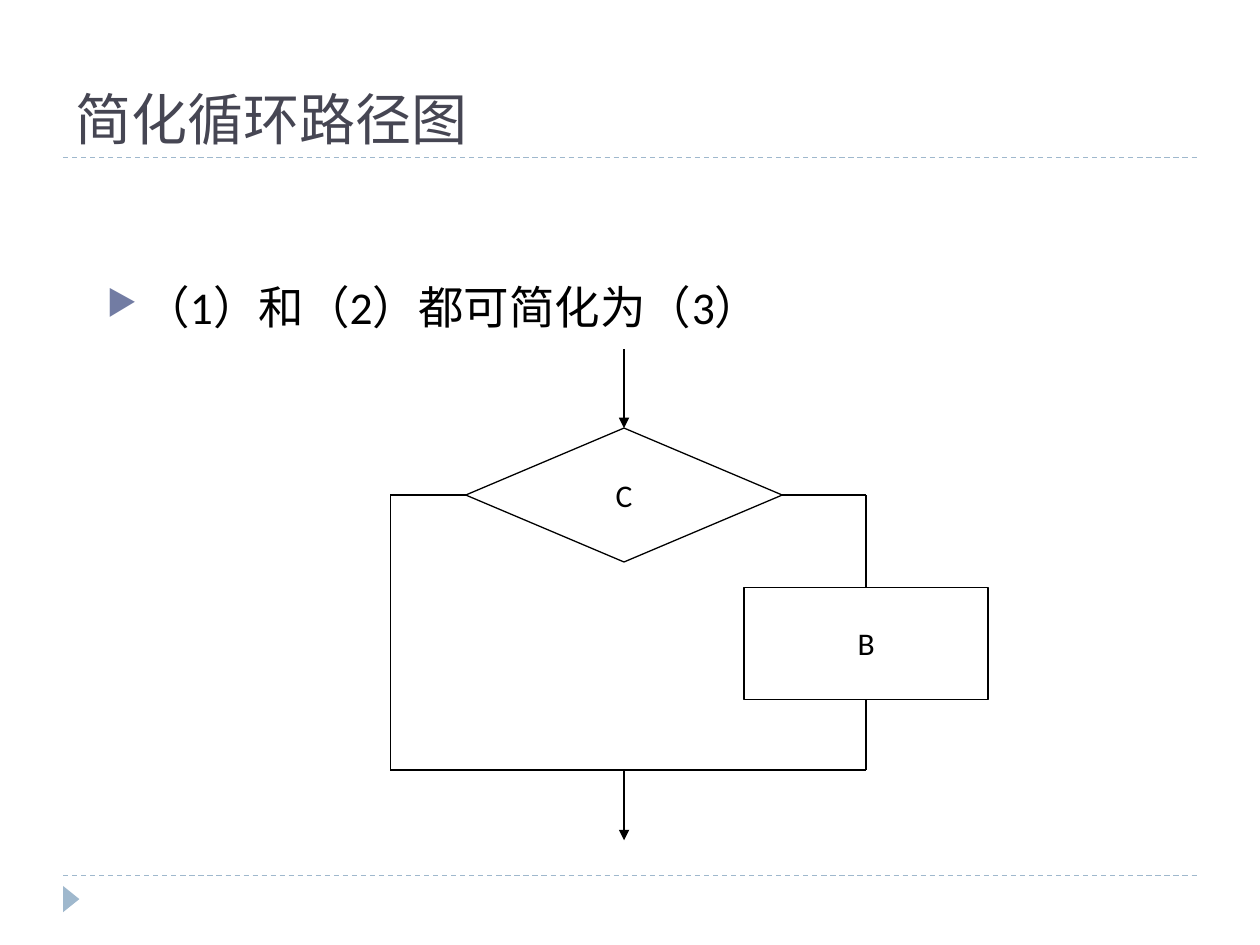
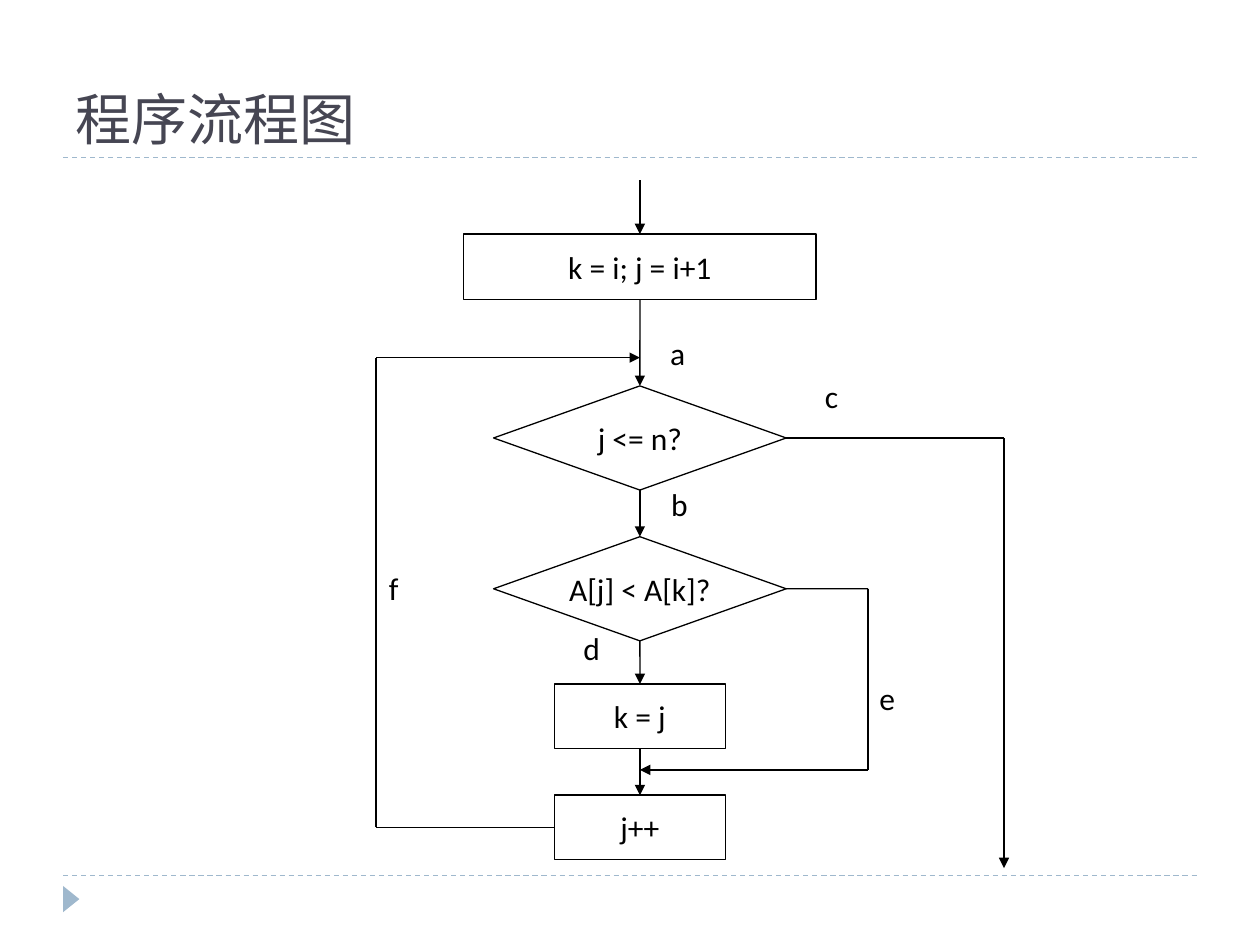
from collections import namedtuple
from itertools import pairwise

from lxml.etree import SubElement
from pptx import Presentation
from pptx.dml.color import RGBColor
from pptx.enum.dml import MSO_LINE
from pptx.enum.shapes import MSO_CONNECTOR, MSO_SHAPE
from pptx.enum.text import MSO_ANCHOR, PP_ALIGN
from pptx.oxml.ns import qn
from pptx.util import Cm, Pt

BLACK = RGBColor(0x00, 0x00, 0x00)
TITLE_COLOR = RGBColor(0x46, 0x46, 0x53)
ACCENT = RGBColor(0x9F, 0xB8, 0xCD)
BULLET_COLOR = RGBColor(0x72, 0x7C, 0xA3)
LATIN_FONT = "Calibri"
CHINESE_FONT = "Noto Sans CJK SC"
TITLE_FONT = "TeX Gyre Bonum"

TOP, LEFT, BOTTOM, RIGHT = range(4)
Side = namedtuple("Side", "node index")
Point = namedtuple("Point", "x y")


def style_text(paragraph, size, color=BLACK, font=LATIN_FONT):
    for span in paragraph.runs:
        span.font.size = Pt(size)
        span.font.name = font
        span.font.color.rgb = color
        SubElement(span.font._element, qn("a:ea"), typeface=CHINESE_FONT)


def add_text(page, text, left, top, width, height, size, **style):
    box = page.shapes.add_textbox(Cm(left), Cm(top), Cm(width), Cm(height))
    frame = box.text_frame
    frame.word_wrap = True
    frame.text = text
    style_text(frame.paragraphs[0], size, **style)
    return frame


def add_line(page, start, end, color=BLACK, dashed=False, arrow=False):
    """Draw a straight line; each end is a Point in cm or a Side of a node."""
    line = page.shapes.add_connector(MSO_CONNECTOR.STRAIGHT, 0, 0, 0, 0)
    if isinstance(start, Side):
        line.begin_connect(*start)
    else:
        line.begin_x, line.begin_y = Cm(start.x), Cm(start.y)
    if isinstance(end, Side):
        line.end_connect(*end)
    else:
        line.end_x, line.end_y = Cm(end.x), Cm(end.y)
    line.line.color.rgb = color
    line.line.width = Pt(0.75)
    if dashed:
        line.line.dash_style = MSO_LINE.DASH
    if arrow:
        SubElement(line.line._get_or_add_ln(), qn("a:tailEnd"), type="triangle")
    SubElement(line._element.spPr, qn("a:effectLst"))


def add_route(page, *stops, arrow=False):
    """Join the stops by lines, with the arrowhead on the last one only."""
    for start, end in pairwise(stops):
        add_line(page, start, end, arrow=arrow and end is stops[-1])


def add_node(page, kind, text, center_x, center_y, width, height):
    node = page.shapes.add_shape(
        kind, Cm(center_x - width / 2), Cm(center_y - height / 2), Cm(width), Cm(height)
    )
    node.shadow.inherit = False
    node.fill.background()
    node.line.color.rgb = BLACK
    node.line.width = Pt(0.75)
    frame = node.text_frame
    frame.word_wrap = False
    frame.vertical_anchor = MSO_ANCHOR.MIDDLE
    frame.text = text
    frame.paragraphs[0].alignment = PP_ALIGN.CENTER
    style_text(frame.paragraphs[0], 18)
    return node


def add_page(deck, title, title_font):
    """Add a slide with the dashed rules, the corner marker and a title."""
    page = deck.slides.add_slide(deck.slide_layouts[6])
    for y in (17.65, 3.18):
        add_line(page, Point(1.27, y), Point(24.13, y), color=ACCENT, dashed=True)
    marker = page.shapes.add_shape(
        MSO_SHAPE.ISOSCELES_TRIANGLE, Cm(1.17), Cm(17.96), Cm(0.53), Cm(0.33)
    )
    marker.rotation = 90
    marker.shadow.inherit = False
    marker.fill.solid()
    marker.fill.fore_color.rgb = ACCENT
    marker.line.fill.background()
    frame = add_text(page, title, 1.27, 0.43, 22.86, 2.75, 32,
                     color=TITLE_COLOR, font=title_font)
    frame.vertical_anchor = MSO_ANCHOR.BOTTOM
    return page


def add_bullet(page, text):
    frame = add_text(page, text, 1.9, 5.51, 21.6, 1.83, 26)
    paragraph = frame.paragraphs[0]
    paragraph.space_before = Pt(6)
    properties = paragraph._p.get_or_add_pPr()
    properties.set("marL", str(Cm(0.76)))
    properties.set("indent", str(-Cm(0.76)))
    color = SubElement(properties, qn("a:buClr"))
    SubElement(color, qn("a:srgbClr"), val=str(BULLET_COLOR))
    SubElement(properties, qn("a:buSzPct"), val="76000")
    SubElement(properties, qn("a:buChar"), char="▶")


def build_simplified_loop(deck):
    page = add_page(deck, "简化循环路径图", TITLE_FONT)
    add_bullet(page, "（1）和（2）都可简化为（3）")
    axis, branch_x, bypass_x = 12.58, 17.46, 7.87
    condition_y, merge_y = 9.98, 15.52
    condition = add_node(page, MSO_SHAPE.DIAMOND, "C", axis, condition_y, 6.38, 2.7)
    body = add_node(page, MSO_SHAPE.RECTANGLE, "B", branch_x, 12.97, 4.92, 2.26)

    add_line(page, Point(axis, 7.04), Side(condition, TOP), arrow=True)
    add_route(page, Side(condition, RIGHT), Point(branch_x, condition_y), Side(body, TOP))
    add_route(page, Side(condition, LEFT), Point(bypass_x, condition_y),
              Point(bypass_x, merge_y), Point(branch_x, merge_y), Side(body, BOTTOM))
    add_line(page, Point(axis, merge_y), Point(axis, 16.94), arrow=True)


def build_flowchart(deck):
    page = add_page(deck, "程序流程图", CHINESE_FONT)
    axis, loop_x, skip_x, exit_x = 12.9, 7.58, 17.5, 20.24
    loop_test_y, compare_y, step_y = 8.83, 11.87, 16.68
    loop_entry_y, skip_end_y = 7.21, 15.52
    box, diamond = MSO_SHAPE.RECTANGLE, MSO_SHAPE.DIAMOND
    nodes = [
        add_node(page, kind, text, axis, y, width, height)
        for kind, text, y, width, height in (
            (box, "k = i; j = i+1", 5.38, 7.1, 1.32),
            (diamond, "j <= n?", loop_test_y, 5.9, 2.1),
            (diamond, "A[j] < A[k]?", compare_y, 5.9, 2.1),
            (box, "k = j", 14.44, 3.44, 1.3),
            (box, "j++", step_y, 3.44, 1.3),
        )
    ]
    start, loop_test, compare, _, step = nodes

    add_line(page, Point(axis, 3.63), Side(start, TOP), arrow=True)
    for upper, lower in pairwise(nodes):
        add_line(page, Side(upper, BOTTOM), Side(lower, TOP), arrow=True)
    add_route(page, Side(step, LEFT), Point(loop_x, step_y),
              Point(loop_x, loop_entry_y), Point(axis, loop_entry_y), arrow=True)
    add_route(page, Side(compare, RIGHT), Point(skip_x, compare_y),
              Point(skip_x, skip_end_y), Point(axis, skip_end_y), arrow=True)
    add_route(page, Side(loop_test, RIGHT), Point(exit_x, loop_test_y),
              Point(exit_x, 17.5), arrow=True)

    for label, left, top in (
        ("a", 13.26, 6.6), ("c", 16.38, 7.47), ("b", 13.28, 9.65),
        ("d", 11.51, 12.55), ("e", 17.48, 13.56), ("f", 7.59, 11.35),
    ):
        frame = add_text(page, label, left, top, 1.57, 1.27, 18)
        frame.paragraphs[0].alignment = PP_ALIGN.JUSTIFY


def main():
    deck = Presentation()
    deck.slide_width, deck.slide_height = Cm(25.4), Cm(19.05)
    build_simplified_loop(deck)
    build_flowchart(deck)
    deck.save("out.pptx")


if __name__ == "__main__":
    main()
